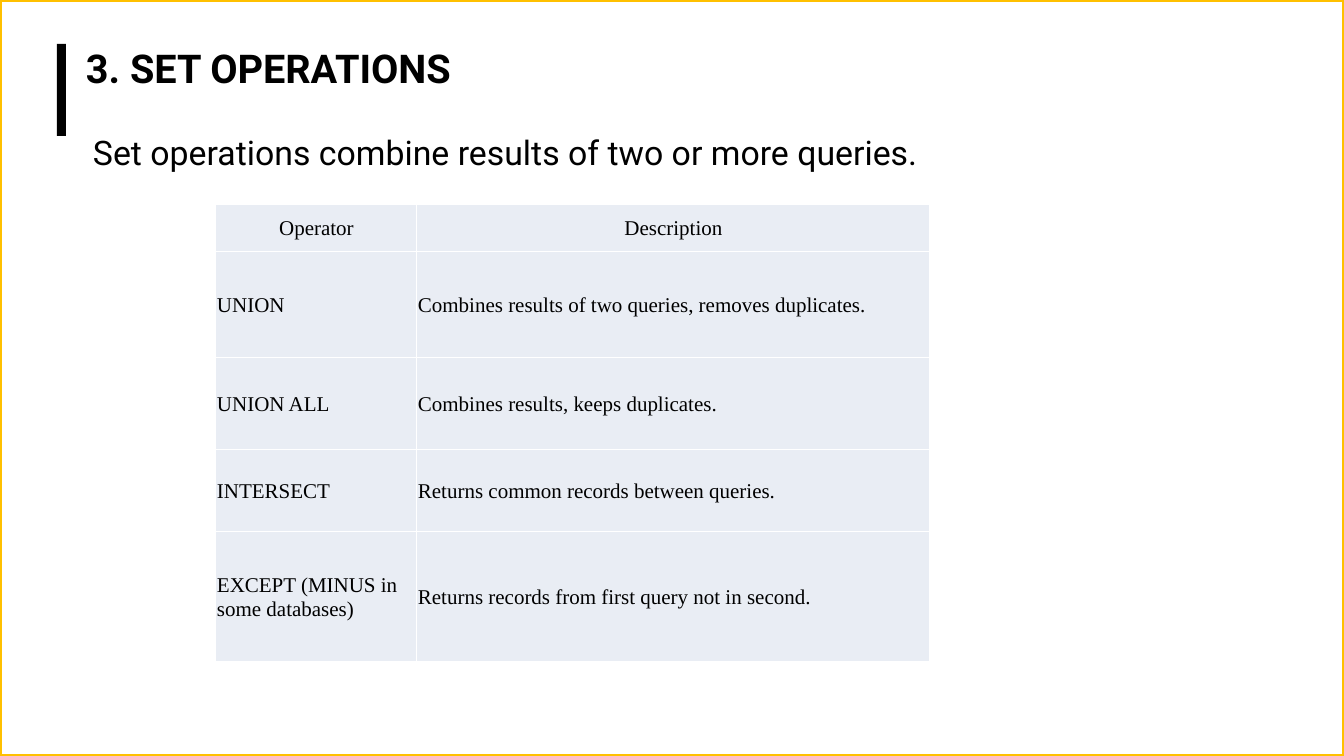
from dataclasses import dataclass

from lxml import etree
from pptx import Presentation
from pptx.dml.color import RGBColor
from pptx.enum.shapes import MSO_SHAPE
from pptx.enum.text import MSO_ANCHOR, PP_ALIGN
from pptx.oxml.ns import qn
from pptx.util import Emu, Pt

RECTANGLE = MSO_SHAPE.RECTANGLE
TOP, MIDDLE = MSO_ANCHOR.TOP, MSO_ANCHOR.MIDDLE
LEFT, CENTER = PP_ALIGN.LEFT, PP_ALIGN.CENTER
SLIDE_W, SLIDE_H = 1344, 756


@dataclass(frozen=True)
class Theme:
    """Colours, fonts and type sizes of the slide."""
    ink: str = "000000"
    paper: str = "FFFFFF"
    frame: str = "FFC000"
    cell: str = "E9EDF4"
    sans: str = "Roboto"
    serif: str = "Times New Roman"
    title: int = 34
    body: int = 29
    table: int = 18
    frame_line: int = 3
    cell_line: int = 1


THEME = Theme()
COLUMNS = (201, 513)
ROWS = (
    (47, "Operator", "Description"),
    (107, "UNION", "Combines results of two queries, removes duplicates."),
    (92, "UNION ALL", "Combines results, keeps duplicates."),
    (82, "INTERSECT", "Returns common records between queries."),
    (130, "EXCEPT (MINUS in some databases)",
     "Returns records from first query not in second."),
)


def px(n):
    """Turn pixels into EMU."""
    return Emu(round(n * 914400 / 84))


def color(code):
    """Turn a hex code into a colour."""
    return RGBColor.from_string(code)


def set_font(p, name, size, bold=False):
    """Set the font of a whole paragraph."""
    p.font.name, p.font.size, p.font.bold = name, Pt(size), bold
    p.font.color.rgb = color(THEME.ink)


def add_rect(slide, box, fill, line=None):
    """Add a flat rectangle with an optional outline."""
    s = slide.shapes.add_shape(RECTANGLE, *map(px, box))
    s.shadow.inherit = False
    s.fill.solid()
    s.fill.fore_color.rgb = color(fill)
    if line:
        s.line.color.rgb = color(line)
        s.line.width = Pt(THEME.frame_line)
    else:
        s.line.fill.background()


def add_text(slide, box, text, size, bold=False, inset_top=5):
    """Add a wrapped line of text at the top of its box."""
    tf = slide.shapes.add_textbox(*map(px, box)).text_frame
    tf.word_wrap = True
    tf.vertical_anchor = TOP
    tf.margin_left = tf.margin_right = px(10)
    tf.margin_top, tf.margin_bottom = px(inset_top), px(5)
    p = tf.paragraphs[0]
    p.text = text
    set_font(p, THEME.sans, size, bold)


def add_heading(slide, x, y, w, h):
    """Add the heading with the bar on its left."""
    add_rect(slide, (x, y, 9, h), THEME.ink)
    add_text(slide, (x + 19, y, w - 19, h), "3. SET OPERATIONS",
             THEME.title, bold=True, inset_top=0)


def set_borders(cell):
    """Draw a thin line on all four sides of a cell."""
    tc_pr = cell._tc.get_or_add_tcPr()
    for side in ("a:lnL", "a:lnR", "a:lnT", "a:lnB"):
        ln = etree.SubElement(tc_pr, qn(side), w=str(Pt(THEME.cell_line)))
        fill = etree.SubElement(ln, qn("a:solidFill"))
        etree.SubElement(fill, qn("a:srgbClr"), val=THEME.paper)


def fill_cell(cell, text, align):
    """Write and style one table cell."""
    set_borders(cell)
    cell.fill.solid()
    cell.fill.fore_color.rgb = color(THEME.cell)
    cell.vertical_anchor = MIDDLE
    cell.margin_left = cell.margin_right = cell.margin_top = px(1)
    cell.margin_bottom = 0
    p = cell.text_frame.paragraphs[0]
    p.text = text
    p.alignment = align
    set_font(p, THEME.serif, THEME.table)


def add_operators(slide, x, y):
    """Add the table of set operators."""
    w, h = sum(COLUMNS), sum(row[0] for row in ROWS)
    table = slide.shapes.add_table(
        len(ROWS), len(COLUMNS), *map(px, (x, y, w, h))).table
    table.first_row = table.horz_banding = False
    for column, width in zip(table.columns, COLUMNS):
        column.width = px(width)
    for i, (height, *texts) in enumerate(ROWS):
        table.rows[i].height = px(height)
        for j, text in enumerate(texts):
            fill_cell(table.cell(i, j), text, LEFT if i else CENTER)


def main():
    """Build and save the slide."""
    prs = Presentation()
    prs.slide_width, prs.slide_height = px(SLIDE_W), px(SLIDE_H)
    slide = prs.slides.add_slide(prs.slide_layouts[6])
    add_rect(slide, (0, 0, SLIDE_W, SLIDE_H), THEME.paper, THEME.frame)
    add_heading(slide, 57, 44, 704, 92)
    add_text(slide, (83, 127, 1178, 476),
             "Set operations combine results of two or more queries.",
             THEME.body)
    add_operators(slide, 216, 204)
    prs.save("out.pptx")


if __name__ == "__main__":
    main()
